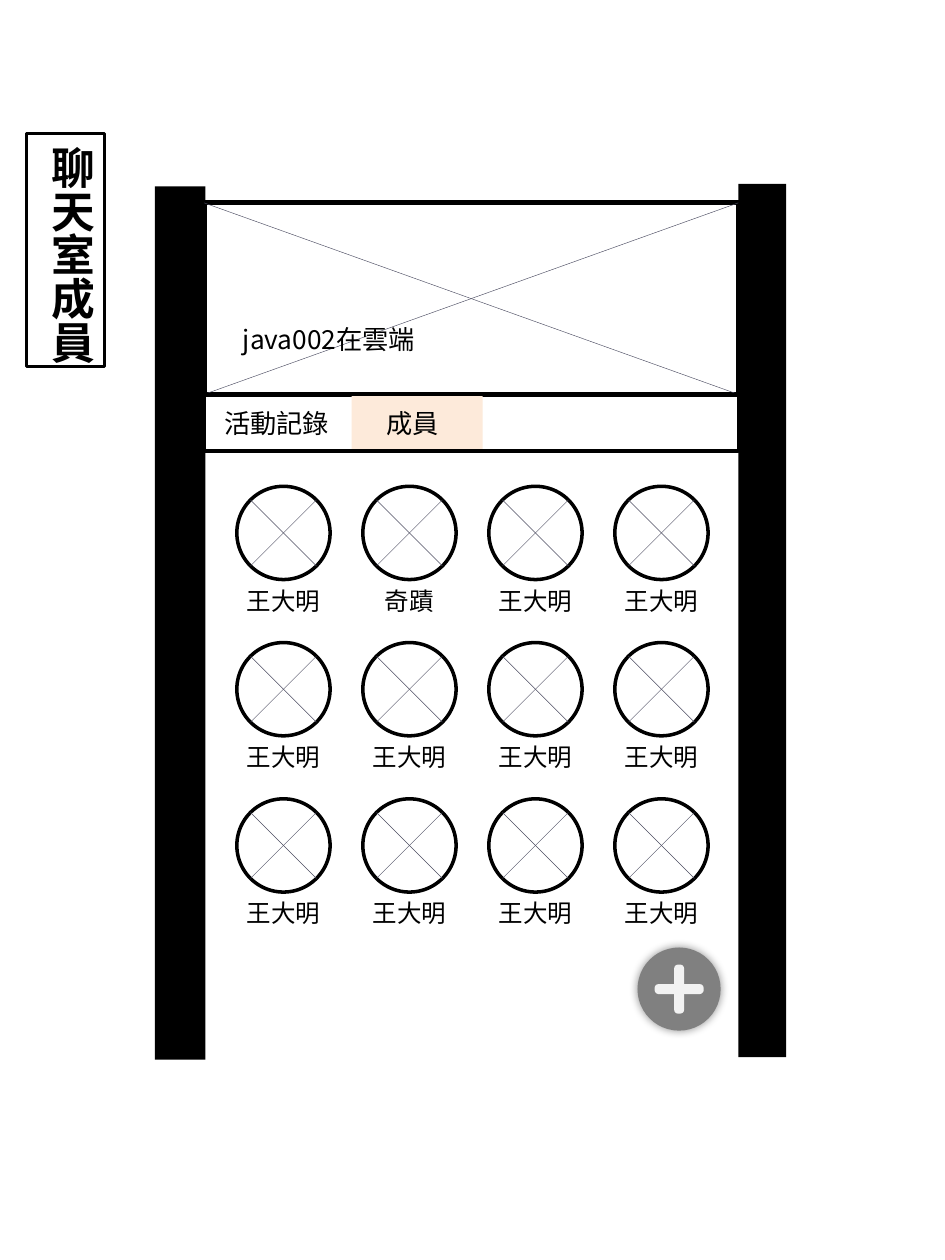
from math import sqrt
from lxml.etree import SubElement
from pptx import Presentation
from pptx.dml.color import RGBColor
from pptx.enum.shapes import MSO_CONNECTOR, MSO_SHAPE as Form
from pptx.enum.text import MSO_ANCHOR, MSO_AUTO_SIZE, PP_ALIGN as Align
from pptx.oxml.ns import qn
from pptx.util import Inches, Pt

FONT = "Noto Sans CJK SC"
BLACK, CROSS, TAB, BUTTON, PLUS = "000000", "4B4C61", "FDEADA", "808080", "F2F2F2"
MEMBERS = [
    ["王大明", "奇蹟", "王大明", "王大明"],
    ["王大明"] * 4,
    ["王大明"] * 4,
]


def color(value):
    return RGBColor.from_string(value)


def add_form(parent, form, box, fill=None, line=None, width=1):
    shape = parent.add_shape(form, *map(Inches, box))
    shape.shadow.inherit = False
    if fill:
        shape.fill.solid()
        shape.fill.fore_color.rgb = color(fill)
    else:
        shape.fill.background()
    if line:
        shape.line.color.rgb = color(line)
        shape.line.width = Pt(width)
    else:
        shape.line.fill.background()
    return shape


def write(shape, text, size=15, bold=False, align=Align.LEFT, vertical=False):
    frame = shape.text_frame
    frame.word_wrap = False
    frame.auto_size = MSO_AUTO_SIZE.SHAPE_TO_FIT_TEXT
    frame.vertical_anchor = MSO_ANCHOR.TOP
    if vertical:
        frame._txBody.bodyPr.set("vert", "eaVert")
    paragraph = frame.paragraphs[0]
    paragraph.alignment = align
    run = paragraph.add_run()
    run.text = text
    font = run.font
    font.name, font.size, font.bold = FONT, Pt(size), bold
    font.color.rgb = color(BLACK)
    SubElement(font._element, qn("a:ea")).set("typeface", FONT)


def add_label(parent, text, box, **style):
    write(parent.add_textbox(*map(Inches, box)), text, **style)


def add_cross(parent, box, inset=0):
    left, top, width, height = box
    x1, x2 = left + inset, left + width - inset
    y1, y2 = top + inset, top + height - inset
    for ends in ((x1, y1, x2, y2), (x2, y1, x1, y2)):
        stroke = parent.add_connector(MSO_CONNECTOR.STRAIGHT, *map(Inches, ends))
        stroke.line.color.rgb = color(CROSS)
        stroke.line.width = Pt(0.25)
        SubElement(stroke._element.spPr, qn("a:effectLst"))


def add_title(shapes, box):
    title = add_form(shapes, Form.RECTANGLE, box, line=BLACK, width=1.5)
    write(title, "聊天室成員", size=25, bold=True, vertical=True)


def add_cover(shapes, box):
    left, top, _, height = box
    cover = shapes.add_group_shape().shapes
    add_form(cover, Form.RECTANGLE, box, line=BLACK, width=3)
    add_cross(cover, box)
    add_label(shapes, "java002在雲端", (left + 0.21, top + height - 0.61, 1.64, 0.35))


def add_tabs(shapes, box):
    left, top, _, height = box
    add_form(shapes, Form.RECTANGLE, (left + 1.17, top, 1.04, height), fill=TAB)
    add_form(shapes, Form.RECTANGLE, box, line=BLACK, width=2)
    for text, offset, width in (("活動記錄", 0.06, 1.04), ("成員", 1.35, 0.62)):
        add_label(shapes, text, (left + offset, top + 0.05, width, 0.35))


def add_member(parent, name, box):
    left, top, size, _ = box
    add_form(parent, Form.OVAL, box, line=BLACK, width=2)
    add_cross(parent, box, inset=size * (1 - 1 / sqrt(2)) / 2)
    label_width = 0.2 * len(name) + 0.19
    label_left = left + (size - label_width) / 2
    add_label(parent, name, (label_left, top + size, label_width, 0.34),
              size=14, align=Align.CENTER)


def add_members(shapes, box, diameter=0.74):
    left, top, width, height = box
    column_step = (width - diameter) / (len(MEMBERS[0]) - 1)
    row_step = (height - diameter) / (len(MEMBERS) - 1)
    for row, names in enumerate(MEMBERS):
        group = shapes.add_group_shape().shapes
        for column, name in enumerate(names):
            add_member(group, name, (left + column * column_step,
                                     top + row * row_step, diameter, diameter))


def add_button(shapes, box):
    left, top, width, height = box
    button = shapes.add_group_shape().shapes
    disc = add_form(button, Form.OVAL, box, fill=BUTTON)
    effects = disc._element.spPr.find(qn("a:effectLst"))
    shadow = SubElement(effects, qn("a:outerShdw"), blurRad=str(Pt(5)), dist="0",
                        algn="ctr", rotWithShape="0")
    tone = SubElement(shadow, qn("a:srgbClr"), val=BLACK)
    SubElement(tone, qn("a:alpha"), val="40000")
    thickness, length = 0.08, 0.39
    bar_box = (left + (width - thickness) / 2, top + (height - length) / 2,
               thickness, length)
    for angle in (0, 90):
        bar = add_form(button, Form.ROUNDED_RECTANGLE, bar_box, fill=PLUS)
        bar.adjustments[0] = 0.4
        bar.rotation = angle


def main():
    deck = Presentation()
    deck.slide_width, deck.slide_height = Inches(7.5), Inches(10)
    shapes = deck.slides.add_slide(deck.slide_layouts[6]).shapes
    for side in ((1.23, 1.48, 0.4, 6.93), (5.86, 1.46, 0.38, 6.93)):
        add_form(shapes, Form.RECTANGLE, side, fill=BLACK)
    add_title(shapes, (0.21, 1.06, 0.62, 1.85))
    add_cover(shapes, (1.62, 1.61, 4.24, 1.52))
    add_tabs(shapes, (1.62, 3.13, 4.24, 0.45))
    add_button(shapes, (5.06, 7.52, 0.66, 0.66))
    add_members(shapes, (1.88, 3.86, 3.74, 3.22))
    deck.save("out.pptx")


if __name__ == "__main__":
    main()
